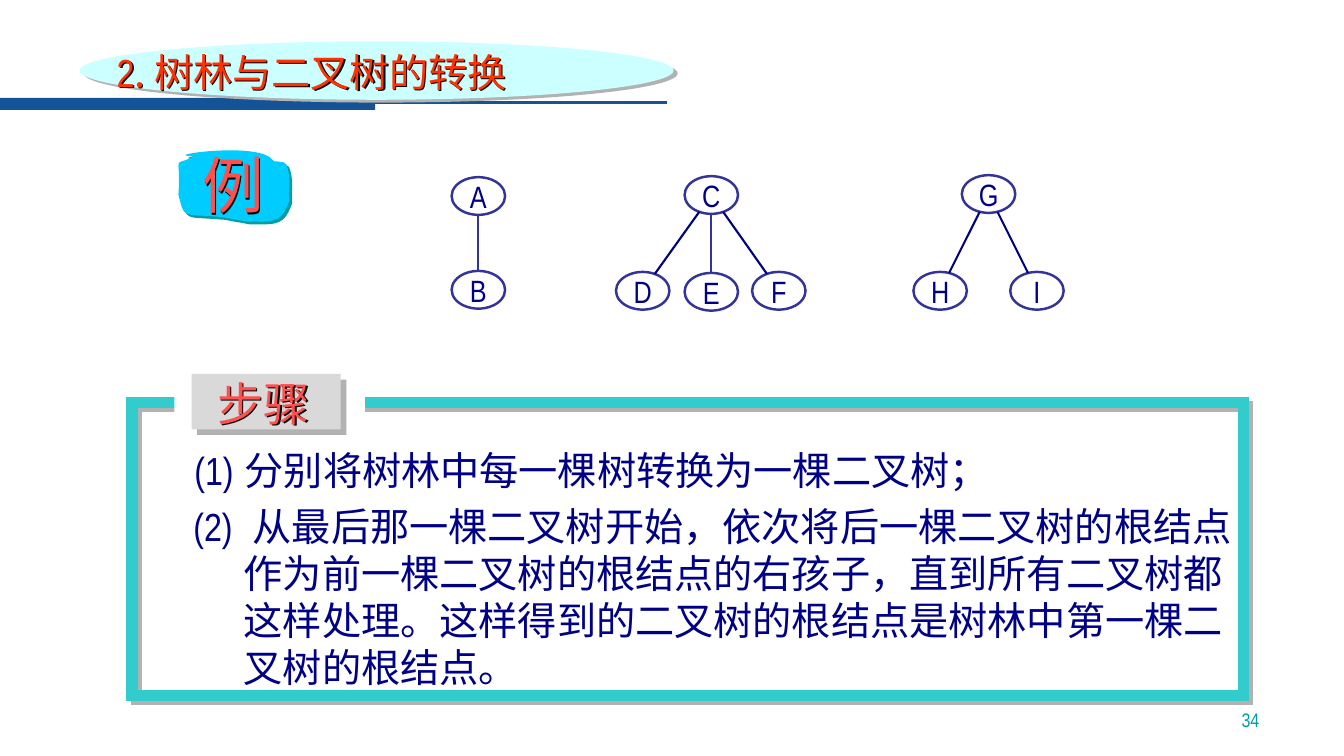
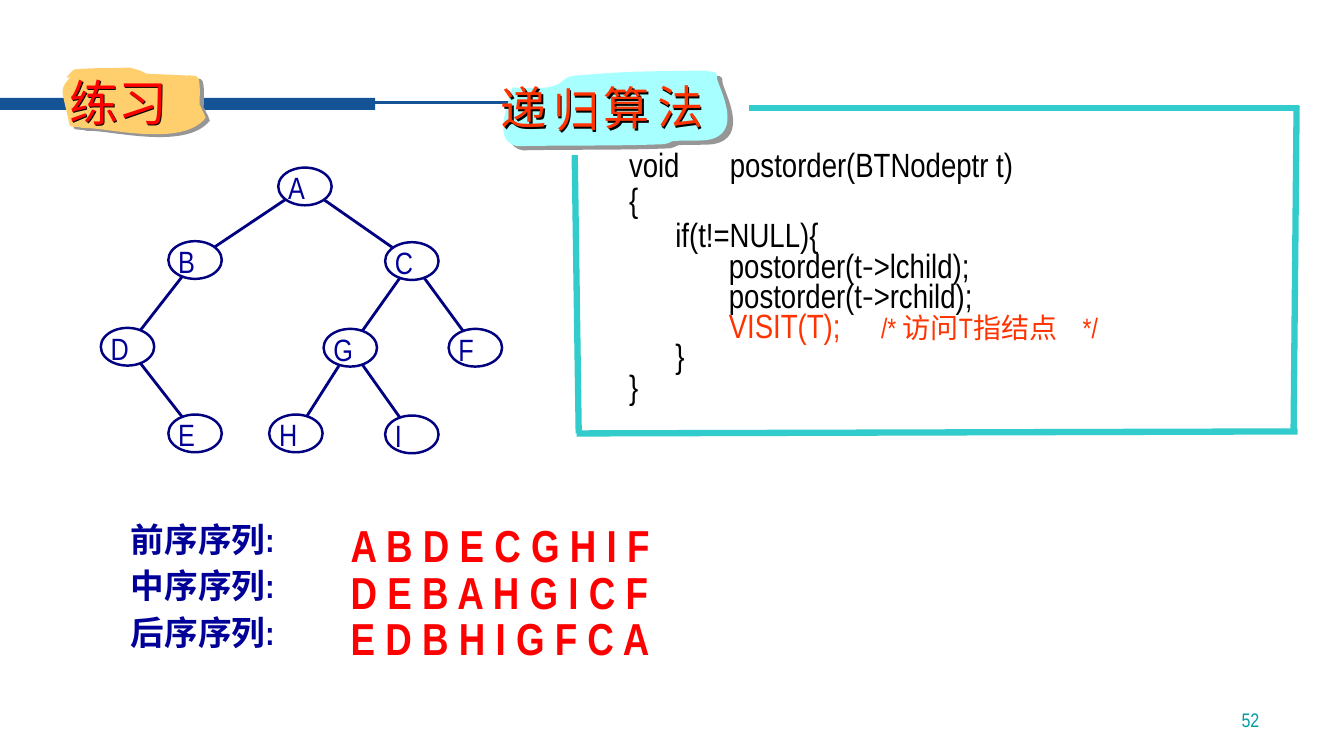
import math

import pptx
import pptx.dml.color
import pptx.enum.lang
import pptx.enum.shapes
import pptx.enum.text
import pptx.oxml
import pptx.oxml.ns
import pptx.util

NARROW, SANS = "Arial Narrow", "Noto Sans CJK SC"
NAVY, INDIGO, BLUE, INK = "000080", "333399", "145396", "000086"
LABEL, TEAL, RED, ORANGE, CORAL = "000099", "33CCCC", "FF0000", "FF3300", "FF5050"
ALIGN = pptx.enum.text.PP_ALIGN
ANCHOR = pptx.enum.text.MSO_ANCHOR
PRESET = pptx.enum.shapes.MSO_SHAPE
STRAIGHT = pptx.enum.shapes.MSO_CONNECTOR.STRAIGHT
CHINESE = pptx.enum.lang.MSO_LANGUAGE_ID.SIMPLIFIED_CHINESE
NAMESPACE = 'xmlns:a="http://schemas.openxmlformats.org/drawingml/2006/main"'
SHADOW = ('<a:outerShdw ' + NAMESPACE + ' dist="{}" dir="{}" algn="ctr" rotWithShape="0">'
          '<a:srgbClr val="{}"/></a:outerShdw>')
EFFECTS = f"<a:effectLst {NAMESPACE}/>"

# Slide grid: 75 rows of square cells
deck = pptx.Presentation()
deck.slide_width, deck.slide_height = pptx.util.Inches(13.33), pptx.util.Inches(7.5)
CELL = deck.slide_height / 75


def paint(value):
    return pptx.dml.color.RGBColor.from_string(value)


def write(page, text, at=None, box=None, size=28, color=INK, font=NARROW, bold=False,
          align=ALIGN.LEFT, anchor=ANCHOR.TOP, wrap=True, shadow=False,
          indent=0, first=0, number=0, after=0, leading=None, tabs=()):
    """Add a paragraph to a box, or to a new box; text is a string or (text, font) pairs."""
    if box is None:
        box = page.shapes.add_textbox(*(round(part * CELL) for part in at))
    if shadow:
        effects = pptx.oxml.parse_xml(EFFECTS)
        effects.append(pptx.oxml.parse_xml(SHADOW.format(18000, 2700000, "000000")))
        box.element.spPr.append(effects)
    frame = box.text_frame
    frame.word_wrap, frame.vertical_anchor = wrap, anchor
    para = frame.add_paragraph() if frame.text else frame.paragraphs[0]
    para.alignment = align
    para.space_before, para.space_after = pptx.util.Pt(0), pptx.util.Pt(after)
    if leading:
        para.line_spacing = leading
    layout = para._p.get_or_add_pPr()
    layout.set("marL", str(round(indent * CELL)))
    layout.set("indent", str(round(first * CELL)))
    if number:
        layout.append(pptx.oxml.parse_xml(f'<a:buFont {NAMESPACE} typeface="{SANS}"/>'))
        layout.append(pptx.oxml.parse_xml(
            f'<a:buAutoNum {NAMESPACE} type="arabicParenBoth" startAt="{number}"/>'))
    if tabs:
        stops = "".join(f'<a:tab pos="{round(stop * CELL)}" algn="l"/>' for stop in tabs)
        layout.append(pptx.oxml.parse_xml(f"<a:tabLst {NAMESPACE}>{stops}</a:tabLst>"))
    for words, face, *points in [(text, font)] if isinstance(text, str) else text:
        span = para.add_run()
        span.text = words
        span.font.size, span.font.bold = pptx.util.Pt(points[0] if points else size), bold
        span.font.color.rgb = paint(color)
        span.font.name, span.font.language_id = face, CHINESE
        span._r.get_or_add_rPr().append(
            pptx.oxml.parse_xml(f'<a:ea {NAMESPACE} typeface="{face}"/>'))
    return box


blank = deck.slide_layouts[6]
for holder in list(blank.placeholders):
    holder.element.getparent().remove(holder.element)
forest, practice = deck.slides.add_slide(blank), deck.slides.add_slide(blank)

# Panels: page, preset, place, fill, line colour, shadow (colour, points, degrees)
panels = [
    (forest, PRESET.RECTANGLE, (0, 9.7, 37.2, 1.2), BLUE, None, None),
    (forest, PRESET.OVAL, (7.9, 4.1, 58.9, 5.8), "CCFFFF", None, ("B2B2B2", 3.6, 34)),
    (forest, PRESET.RECTANGLE, (13.1, 39.9, 110.2, 29.1), None, TEAL, ("B2B2B2", 4.2, 45)),
    (forest, PRESET.RECTANGLE, (17.3, 38.3, 18.9, 3.9), "FFFFFF", None, None),
    (forest, PRESET.RECTANGLE, (19, 37.1, 14.8, 5.5), "D9D9D9", None, ("B2B2B2", 5.7, 45)),
]
drawn = []
for page, preset, place, fill, line, shadow in panels:
    panel = page.shapes.add_shape(preset, *(round(part * CELL) for part in place))
    drawn.append((panel, fill, line, 8, shadow))
band = drawn[0][0]

# Brush-stroke blobs: start point, then three points for each curve
blobs = [
    (forest, "00CCFF", ("009EA1", 2.8, 45), [
        (19.3, 15.5), (16.9, 16.7), (18, 15), (17.7, 19.3), (18.3, 21.7), (18, 21.2),
        (21.5, 21.5), (22, 21.5), (22.4, 21.6), (22.9, 21.7), (23.5, 21.8), (24.6, 22),
        (24.6, 22), (25.8, 21.9), (26.9, 22.2), (27.8, 21.5), (28.3, 21.1), (28.7, 19.9),
        (28.7, 19.9), (28.6, 18.7), (28.9, 17.5), (28.4, 16.3), (28.3, 16), (27.1, 16),
        (27.1, 16), (26.2, 13.9), (15.2, 15.5), (19.3, 15.5)]),
    (practice, "FFCE6D", ("969696", 3.6, 34), [
        (7.1, 7.5), (5.8, 9.1), (6.1, 8.5), (6.9, 12.4), (6.9, 12.7), (7.8, 12.5),
        (8.2, 12.7), (10.5, 12.6), (18, 14.7), (20.4, 11.7), (20.3, 11.4), (20.2, 11.1),
        (20, 10.8), (20, 10.7), (19.8, 10.4), (19.8, 10.4), (19.8, 9.5), (19.9, 8.6),
        (19.7, 7.8), (19.6, 7.4), (18.8, 7.5), (18.4, 7.5), (17.1, 7.4), (15.8, 7.4),
        (14.5, 7.3), (14.3, 7.2), (14.1, 7.1), (13.9, 7), (13.6, 6.9), (12.8, 6.7),
        (12.8, 6.7), (11, 6.8), (9.2, 6.7), (7.4, 6.9), (7.2, 6.9), (6, 8.3), (7.1, 7.5)]),
    (practice, "A7FFFF", ("969696", 5, 37), [
        (50.8, 8.7), (50.5, 10.2), (48.7, 14), (51.3, 14.5), (56.2, 14.4), (61.1, 14.5),
        (65.9, 14.3), (66.2, 14.3), (66.4, 14.1), (66.7, 14), (67.8, 13.9), (69, 14),
        (70.1, 13.9), (74, 13.3), (71.2, 8.6), (71.1, 7.7), (71.1, 7), (70.9, 7.2),
        (69.8, 7), (62, 7.1), (62.2, 7.1), (57, 7.5), (55.7, 7.7), (56.1, 8.1),
        (55, 8.5), (53.8, 8.9), (52, 8.7), (50.8, 8.7)]),
]
for page, fill, shadow, points in blobs:
    start, *rest = [(x * CELL, y * CELL) for x, y in points]
    builder = page.shapes.build_freeform(*start)
    builder.add_line_segments(rest, close=True)
    blob = builder.convert_to_shape()
    # Every three straight segments become one cubic curve
    segments = list(blob.element.iter(pptx.oxml.ns.qn("a:lnTo")))
    for index in range(0, len(segments), 3):
        curve = pptx.oxml.parse_xml(f"<a:cubicBezTo {NAMESPACE}/>")
        segments[index].addprevious(curve)
        for segment in segments[index:index + 3]:
            curve.append(segment[0])
            segment.getparent().remove(segment)
    drawn.append((blob, fill, None, 0, shadow))

# Trees: node centres, then edges by colour along the line between centres
RADIUS_X, RADIUS_Y = 2.65, 1.87
trees = [
    (forest, INDIGO, INK, ALIGN.CENTER, 0, 1.5, {
        "A": (47.45, 19.45), "B": (47.45, 28.75), "C": (70.55, 19.35), "D": (63.75, 28.85),
        "E": (70.55, 28.95), "F": (77.25, 28.85), "G": (98.05, 19.25), "H": (93.25, 28.85),
        "I": (102.85, 28.85)}, {INDIGO: "AB CE", NAVY: "CD CF GH GI"}),
    (practice, NAVY, LABEL, ALIGN.LEFT, 0.2, 2, {
        "A": (30.25, 18.5), "B": (19.35, 25.8), "C": (40.85, 25.9), "D": (12.65, 34.4),
        "G": (34.75, 34.5), "F": (47.15, 34.5), "H": (29.35, 43), "E": (19.35, 43),
        "I": (40.85, 43.1)}, {NAVY: "AB AC BD CG CF DE GI GH"}),
]
strokes = [(forest, (36.8, 10.2), (66.2, 10.2), BLUE, 2.25)]
for page, ring, ink, align, inset, width, nodes, edges in trees:
    for letter, (x, y) in nodes.items():
        node = page.shapes.add_shape(PRESET.OVAL, *(round(part * CELL) for part in (
            x - RADIUS_X, y - RADIUS_Y, 2 * RADIUS_X, 2 * RADIUS_Y)))
        frame = node.text_frame
        frame.margin_right = frame.margin_bottom = 0
        frame.margin_left = frame.margin_top = round(inset * CELL)
        write(page, letter, box=node, size=22, color=ink, align=align, anchor=ANCHOR.MIDDLE)
        drawn.append((node, None, ring, 1.75, None))
    for color, pairs in edges.items():
        for parent, child in pairs.split():
            (x1, y1), (x2, y2) = nodes[parent], nodes[child]
            share = 1 / math.hypot((x2 - x1) / RADIUS_X, (y2 - y1) / RADIUS_Y)
            dx, dy = share * (x2 - x1), share * (y2 - y1)
            strokes.append((page, (x1 + dx, y1 + dy), (x2 - dx, y2 - dy), color, width))

# Open frame around the code
strokes += [(practice, start, end, TEAL, 4.5) for start, end in (
    ((57, 15.4), (57.4, 43)), ((128.7, 42.8), (57.2, 43)),
    ((128.6, 10.5), (128.3, 42.8)), ((128.8, 10.7), (74.3, 10.7)))]

# Fill, line and shadow of every shape
for shape, fill, line, width, shadow in drawn:
    if fill:
        shape.fill.solid()
        shape.fill.fore_color.rgb = paint(fill)
    else:
        shape.fill.background()
    if line:
        shape.line.color.rgb = paint(line)
        shape.line.width = pptx.util.Pt(width)
        shape.line._get_or_add_ln().append(
            pptx.oxml.parse_xml(f'<a:miter {NAMESPACE} lim="800000"/>'))
    else:
        shape.line.fill.background()
    shape.shadow.inherit = False
    if shadow:
        color, distance, angle = shadow
        shape.element.spPr.find(pptx.oxml.ns.qn("a:effectLst")).append(pptx.oxml.parse_xml(
            SHADOW.format(round(distance * 12700), angle * 60000, color)))

# Lines; the band and its rule move to the layout that both slides share
connectors = []
for page, start, end, color, width in strokes:
    connector = page.shapes.add_connector(
        STRAIGHT, *(round(part * CELL) for part in start + end))
    connector.line.color.rgb = paint(color)
    connector.line.width = pptx.util.Pt(width)
    connector.element.spPr.append(pptx.oxml.parse_xml(EFFECTS))
    connectors.append(connector)
for shared in (band, connectors[0]):
    blank.shapes.element.append(shared.element)

# Forest slide: title, badges and steps
write(forest, [("2", NARROW), (". 树林与二叉树的转换", SANS)], (10.6, 4.3, 54.6, 5.7),
      color=ORANGE, shadow=True)
write(forest, "例", (19, 14.1, 8.2, 8.4), size=44, color=CORAL,
      align=ALIGN.CENTER, wrap=False, shadow=True)
write(forest, "步骤", (20.5, 36.7, 11.3, 6.6), size=33, color=CORAL,
      align=ALIGN.CENTER, wrap=False, shadow=True)
write(forest, "(1)\t分别将树林中每一棵树转换为一棵二叉树；", (18.3, 43.8, 102.6, 5.7), tabs=(7.5,))
write(forest, " 从最后那一棵二叉树开始，依次将后一棵二叉树的根结点作为前一棵二叉树的根结点的右孩子，"
      "直到所有二叉树都这样处理。这样得到的二叉树的根结点是树林中第一棵二叉树的根结点。",
      (18.2, 49.3, 106, 19.9), indent=5, first=-5, number=2)

# Practice slide: badges
write(practice, "练习", (5.9, 6.7, 23.1, 6.8), size=35, color=RED, shadow=True)
for character, left, top in (("递", 48.7, 7.4), ("归", 53.9, 7.6),
                             ("算", 58.9, 7.4), ("法", 64.2, 7.3)):
    write(practice, character, (left, top, 7.5, 6.5), size=33, color=ORANGE, shadow=True)

# Code: text, indent, colour, space after, tab stops
code = None
for text, indent, color, after, tabs in (
        ("void\tpostorder(BTNodeptr t)", 0, "000000", 3.6, (6.6,)),
        ("{", 0, "000000", 3.6, ()),
        ("if(t!=NULL){", 4.6, "000000", 0, ()),
        ([("postorder(t", NARROW), ("-", SANS), (">lchild);", NARROW)], 9.9, "000000", 0, ()),
        ([("postorder(t", NARROW), ("-", SANS), (">rchild);", NARROW)], 9.9, "000000", 0, ()),
        ([("VISIT(T);\t", NARROW), ("/* ", NARROW, 20), ("访问", SANS, 20), ("T", NARROW, 20),
          ("指结点", SANS, 20), ("\t*/", NARROW, 20)], 9.9, ORANGE, 0, (26.2, 47.7)),
        ("}", 4.6, "000000", 0, ()),
        ("}", 0, "000000", 0, ())):
    code = write(practice, text, (61.4, 14.7, 81.9, 27.5), box=code, size=24, color=color,
                 first=indent, after=after, leading=0.75, tabs=tabs)

# Traversal sequences
for row, (name, order) in enumerate((("前序序列:", "ABDECGHIF"), ("中序序列:", "DEBAHGICF"),
                                     ("后序序列:", "EDBHIGFCA"))):
    top = 51 + 4.6 * row
    write(practice, name, (12, top, 26, 5), size=24, color=LABEL, bold=True)
    write(practice, " ".join(order), (33.8, top - 0.1, 45.4, 6.4), size=32, color=RED, bold=True)

# Page numbers
for page, number in ((forest, "34"), (practice, "52")):
    write(page, number, (98.1, 68.1, 27.8, 5), size=14, color="009EA1",
          align=ALIGN.RIGHT, anchor=ANCHOR.BOTTOM)

deck.save("out.pptx")
